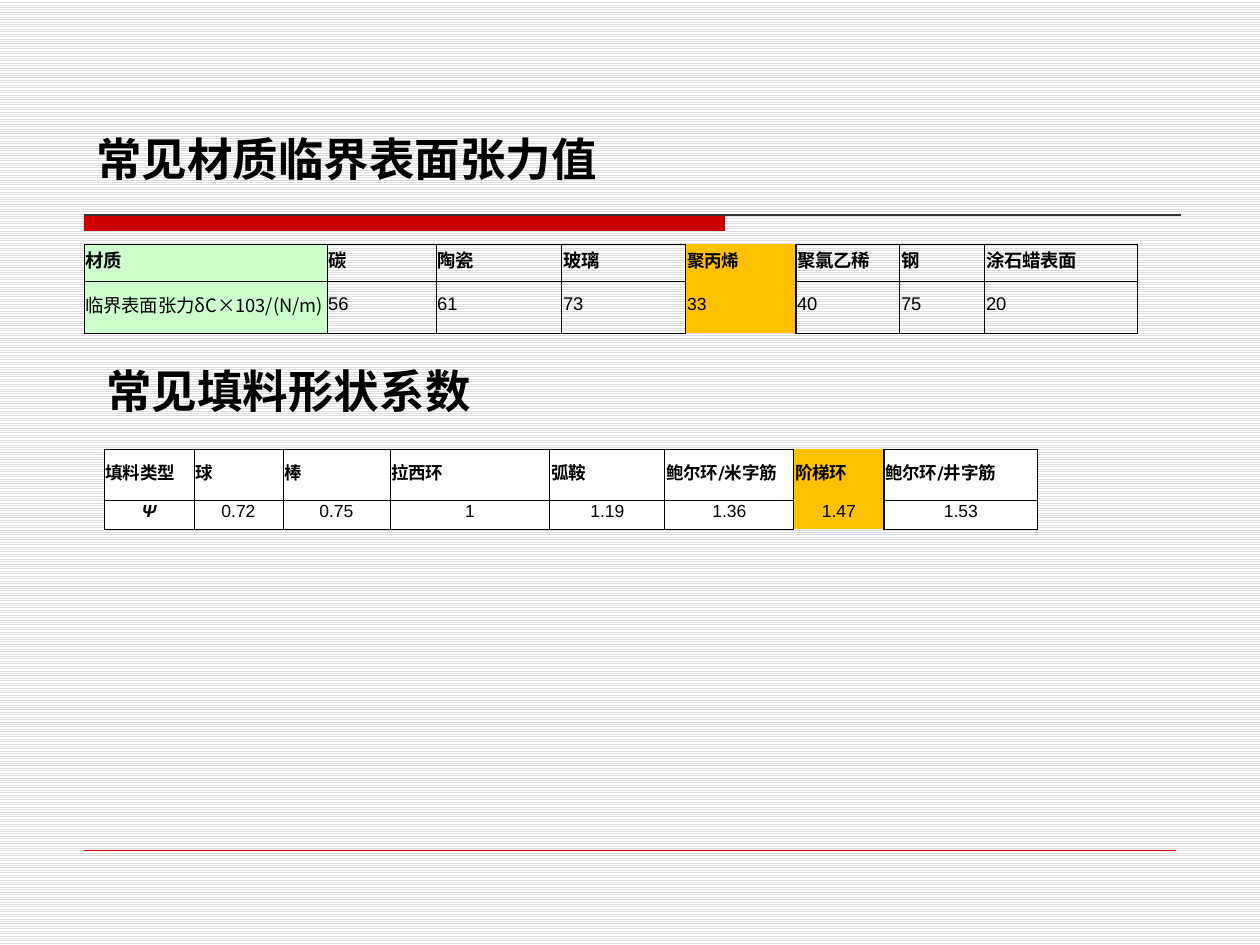
from lxml import etree
from pptx import Presentation, util as u
from pptx.dml.color import RGBColor
from pptx.enum import dml, shapes, text
from pptx.oxml.ns import qn

PX = 914400 // 126
BLACK = RGBColor(0, 0, 0)
DARK = RGBColor(0x33, 0x33, 0x33)
RED = RGBColor(0xCC, 0, 0)
GREEN = RGBColor(0xCC, 0xFF, 0xCC)
GOLD = RGBColor(0xFF, 0xC0, 0)
WHITE = RGBColor(0xFF, 0xFF, 0xFF)
GREY = RGBColor(0xDD, 0xDD, 0xDD)
SANS, ARIAL, CJK = "DejaVu Sans", "Arial", "Noto Sans CJK SC"

HEADS = [
    ("常见材质临界表面张力值", (84, 131, 680, 72)),
    ("常见填料形状系数", (94, 363, 600, 66)),
]
LINES = [((84, 215, 1181, 215), DARK, 0.75), ((84, 850, 1176, 850), RED, 0.25)]
BAR = (84, 215, 641, 16)

# "hot" is the highlighted column
TENSION = dict(
    at=(84, 244), cols=[243, 109, 126, 124, 110, 104, 85, 153], rows=[37, 52],
    size=10.5, hot=4, hot_size=10, first=GREEN, fill=None, font=ARIAL,
    align=text.PP_ALIGN.LEFT,
    data=[
        ["材质", "碳", "陶瓷", "玻璃", "聚丙烯", "聚氯乙稀", "钢", "涂石蜡表面"],
        [("临界表面张力", "δC×103/(N/m)"), "56", "61", "73", "33", "40", "75", "20"],
    ],
)
SHAPE = dict(
    at=(104, 449), cols=[90, 89, 107, 160, 115, 129, 90, 154], rows=[51, 29],
    size=10, hot=6, hot_size=10, first=WHITE, fill=WHITE, font=SANS,
    align=text.PP_ALIGN.CENTER,
    data=[
        ["填料类型", "球", "棒", "拉西环", "弧鞍", "鲍尔环/米字筋", "阶梯环", "鲍尔环/井字筋"],
        ["Ψ", "0.72", "0.75", "1", "1.19", "1.36", "1.47", "1.53"],
    ],
)


def px(*vals):
    return [u.Emu(v * PX) for v in vals]


def style(run, size, name, bold=False):
    font = run.font
    font.size, font.name, font.bold = u.Pt(size), name, bold
    font.color.rgb = BLACK
    ea = etree.SubElement(run._r.get_or_add_rPr(), qn("a:ea"))
    ea.set("typeface", CJK)


def add_head(slide, words, box):
    frame = slide.shapes.add_textbox(*px(*box)).text_frame
    frame.word_wrap = True
    para = frame.paragraphs[0]
    para.text = words
    para.line_spacing = 0.9
    style(para.runs[0], 26, SANS, True)


def add_line(slide, ends, color, width):
    line = slide.shapes.add_connector(shapes.MSO_CONNECTOR.STRAIGHT, *px(*ends))
    line.line.color.rgb = color
    line.line.width = u.Pt(width)
    etree.SubElement(line._element.spPr, qn("a:effectLst"))


def add_edges(cell, widths):
    """Set left, right, top and bottom border widths in points; 0 hides one."""
    props = cell._tc.get_or_add_tcPr()
    for side, width in zip("LRTB", widths):
        edge = etree.SubElement(props, qn(f"a:ln{side}"), w=str(u.Pt(width)))
        if width:
            fill = etree.SubElement(edge, qn("a:solidFill"))
            etree.SubElement(fill, qn("a:srgbClr"), val=str(BLACK))
        else:
            etree.SubElement(edge, qn("a:noFill"))


def fill_cell(cell, words, row, col, spec):
    hot = col == spec["hot"]
    cell.margin_left = cell.margin_right = cell.margin_top = u.Inches(0.01)
    cell.margin_bottom = u.Inches(0.05)
    cell.vertical_anchor = text.MSO_ANCHOR.MIDDLE
    ends = (0, 0) if hot else (0.5, 0.5)
    left = 1 if col == spec["hot"] + 1 else 0.5
    add_edges(cell, (left, 1 if hot else 0.5, *ends))
    color = GOLD if hot else spec["fill"] if col else spec["first"]
    if color is None:
        cell.fill.background()
    else:
        cell.fill.solid()
        cell.fill.fore_color.rgb = color

    para = cell.text_frame.paragraphs[0]
    para.alignment = spec["align"] if row else text.PP_ALIGN.LEFT
    parts = words if isinstance(words, tuple) else (words,)
    size = spec["hot_size"] if hot else spec["size"]
    for i, part in enumerate(parts):
        run = para.add_run()
        run.text = part
        name = CJK if i else ARIAL if row else spec["font"]
        style(run, size, name, row == 0 or part == "Ψ")
        run.font.italic = part == "Ψ"


def add_grid(slide, spec):
    cols, rows = spec["cols"], spec["rows"]
    box = px(*spec["at"], sum(cols), sum(rows))
    grid = slide.shapes.add_table(len(rows), len(cols), *box).table
    grid.first_row = grid.horz_banding = False
    for col, width in zip(grid.columns, px(*cols)):
        col.width = width
    for row, height in zip(grid.rows, px(*rows)):
        row.height = height
    for r, line in enumerate(spec["data"]):
        for c, words in enumerate(line):
            fill_cell(grid.cell(r, c), words, r, c, spec)


def main():
    deck = Presentation()
    deck.slide_width, deck.slide_height = u.Inches(10), u.Inches(7.5)
    slide = deck.slides.add_slide(deck.slide_layouts[6])
    back = slide.background.fill
    back.patterned()
    back.pattern = dml.MSO_PATTERN.LIGHT_HORIZONTAL
    back.fore_color.rgb, back.back_color.rgb = GREY, WHITE

    bar = slide.shapes.add_shape(shapes.MSO_SHAPE.RECTANGLE, *px(*BAR))
    bar.shadow.inherit = False
    bar.fill.solid()
    bar.fill.fore_color.rgb = RED
    bar.line.fill.background()
    for line in LINES:
        add_line(slide, *line)
    for head in HEADS:
        add_head(slide, *head)
    for spec in (TENSION, SHAPE):
        add_grid(slide, spec)
    deck.save("out.pptx")


if __name__ == "__main__":
    main()
